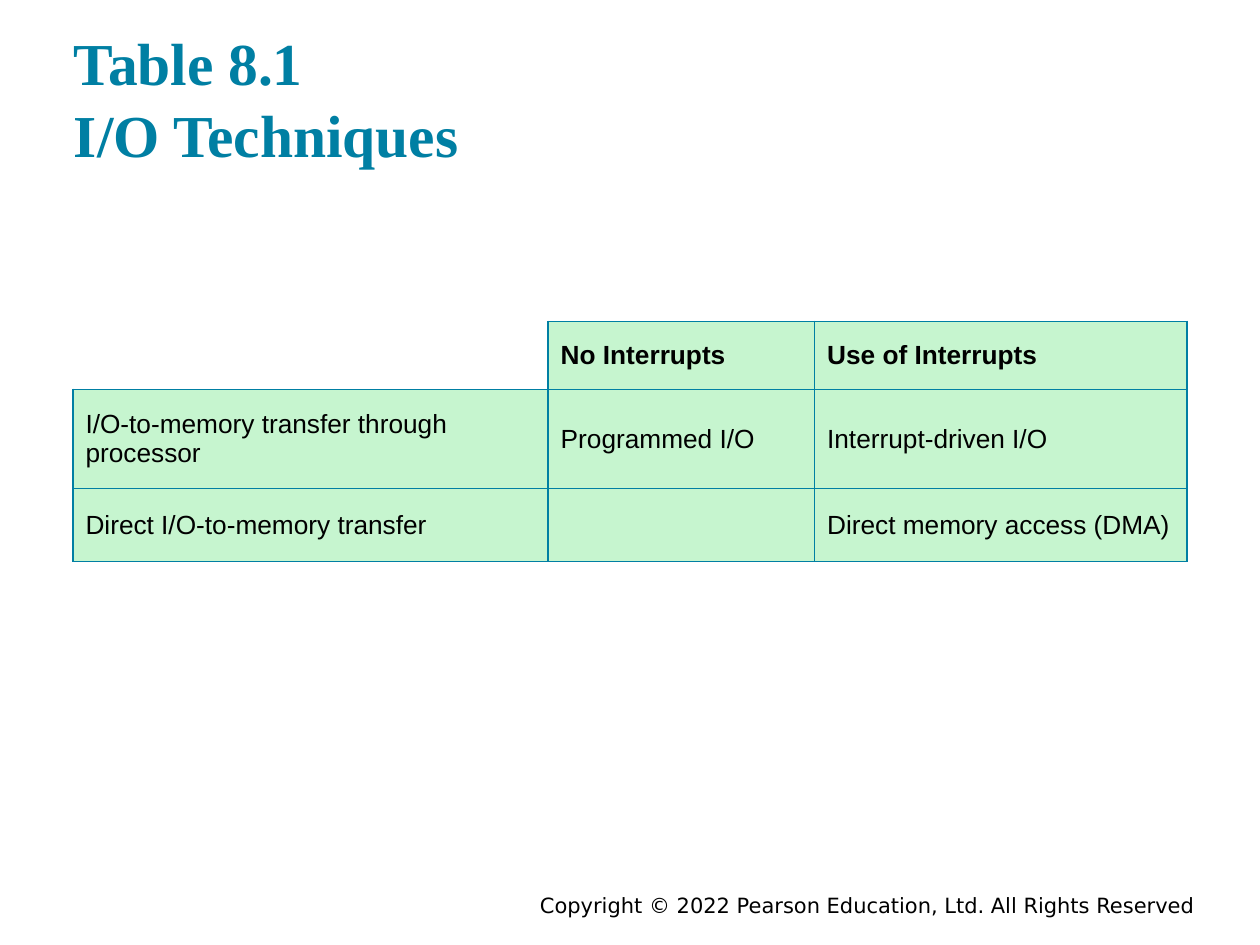
from dataclasses import dataclass

from lxml.etree import SubElement
from pptx import Presentation
from pptx.dml.color import RGBColor
from pptx.enum.text import MSO_ANCHOR, PP_ALIGN
from pptx.oxml.ns import qn
from pptx.slide import Slide
from pptx.table import _Cell
from pptx.text.text import TextFrame
from pptx.util import Cm, Pt

TEAL = RGBColor(0x00, 0x7F, 0xA3)
MINT = RGBColor(0xC6, 0xF5, 0xCF)
BLACK = RGBColor(0x00, 0x00, 0x00)


@dataclass(frozen=True)
class TextStyle:
    font: str
    size: int
    color: RGBColor
    bold: bool = False
    align: PP_ALIGN = PP_ALIGN.LEFT


@dataclass(frozen=True)
class Label:
    text: str
    left: float
    top: float
    width: float
    height: float
    vertical_margin: float
    anchor: MSO_ANCHOR
    style: TextStyle


TITLE = TextStyle("Times New Roman", 34, TEAL, bold=True)
FOOTER = TextStyle("DejaVu Sans", 12, BLACK, align=PP_ALIGN.RIGHT)
HEADER = TextStyle("Arial", 15, BLACK, bold=True)
BODY = TextStyle("Arial", 15, BLACK)

LABELS = [
    Label("Copyright © 2022 Pearson Education, Ltd. All Rights Reserved",
          4.45, 17.86, 19.89, 0.56, 0.13, MSO_ANCHOR.TOP, FOOTER),
    Label("Table 8.1\vI/O Techniques",
          1.24, 0.56, 22.86, 3.1, 0.25, MSO_ANCHOR.BOTTOM, TITLE),
]

TECHNIQUES = [
    ["", "No Interrupts", "Use of Interrupts"],
    ["I/O-to-memory transfer through processor", "Programmed I/O", "Interrupt-driven I/O"],
    ["Direct I/O-to-memory transfer", "", "Direct memory access (DMA)"],
]
COLUMN_WIDTHS = [9.58, 5.37, 7.51]
ROW_HEIGHTS = [1.37, 2.0, 1.47]


def write_text(frame: TextFrame, text: str, style: TextStyle) -> None:
    frame.text = text
    for para in frame.paragraphs:
        para.alignment = style.align
        for span in para.runs:
            span.font.name = style.font
            span.font.size = Pt(style.size)
            span.font.bold = style.bold
            span.font.color.rgb = style.color


def add_label(page: Slide, label: Label) -> None:
    box = page.shapes.add_textbox(
        Cm(label.left), Cm(label.top), Cm(label.width), Cm(label.height))
    frame = box.text_frame
    frame.word_wrap = True
    frame.vertical_anchor = label.anchor
    frame.margin_left = frame.margin_right = Cm(0.25)
    frame.margin_top = frame.margin_bottom = Cm(label.vertical_margin)
    write_text(frame, label.text, label.style)


def set_borders(cell: _Cell, visible_sides: str) -> None:
    properties = cell._tc.get_or_add_tcPr()
    for side in "LRTB":
        line = SubElement(properties, qn(f"a:ln{side}"), w=str(Pt(1)))
        if side in visible_sides:
            fill = SubElement(line, qn("a:solidFill"))
            SubElement(fill, qn("a:srgbClr"), val=str(TEAL))
        else:
            SubElement(line, qn("a:noFill"))


def add_techniques_table(page: Slide) -> None:
    table = page.shapes.add_table(
        len(ROW_HEIGHTS), len(COLUMN_WIDTHS), Cm(1.47), Cm(6.48),
        Cm(sum(COLUMN_WIDTHS)), Cm(sum(ROW_HEIGHTS))).table
    table.first_row = table.horz_banding = False
    for column, width in zip(table.columns, COLUMN_WIDTHS):
        column.width = Cm(width)
    for row, height in zip(table.rows, ROW_HEIGHTS):
        row.height = Cm(height)
    for row_index, texts in enumerate(TECHNIQUES):
        for column_index, text in enumerate(texts):
            cell = table.cell(row_index, column_index)
            is_corner = row_index == column_index == 0
            cell.vertical_anchor = MSO_ANCHOR.MIDDLE
            set_borders(cell, "RB" if is_corner else "LRTB")
            if is_corner:
                cell.fill.background()
            else:
                cell.fill.solid()
                cell.fill.fore_color.rgb = MINT
            write_text(cell.text_frame, text, HEADER if row_index == 0 else BODY)


def main() -> None:
    deck = Presentation()
    deck.slide_width = Cm(25.4)
    deck.slide_height = Cm(19.05)
    page = deck.slides.add_slide(deck.slide_layouts[6])
    for label in LABELS:
        add_label(page, label)
    add_techniques_table(page)
    deck.save("out.pptx")


if __name__ == "__main__":
    main()
